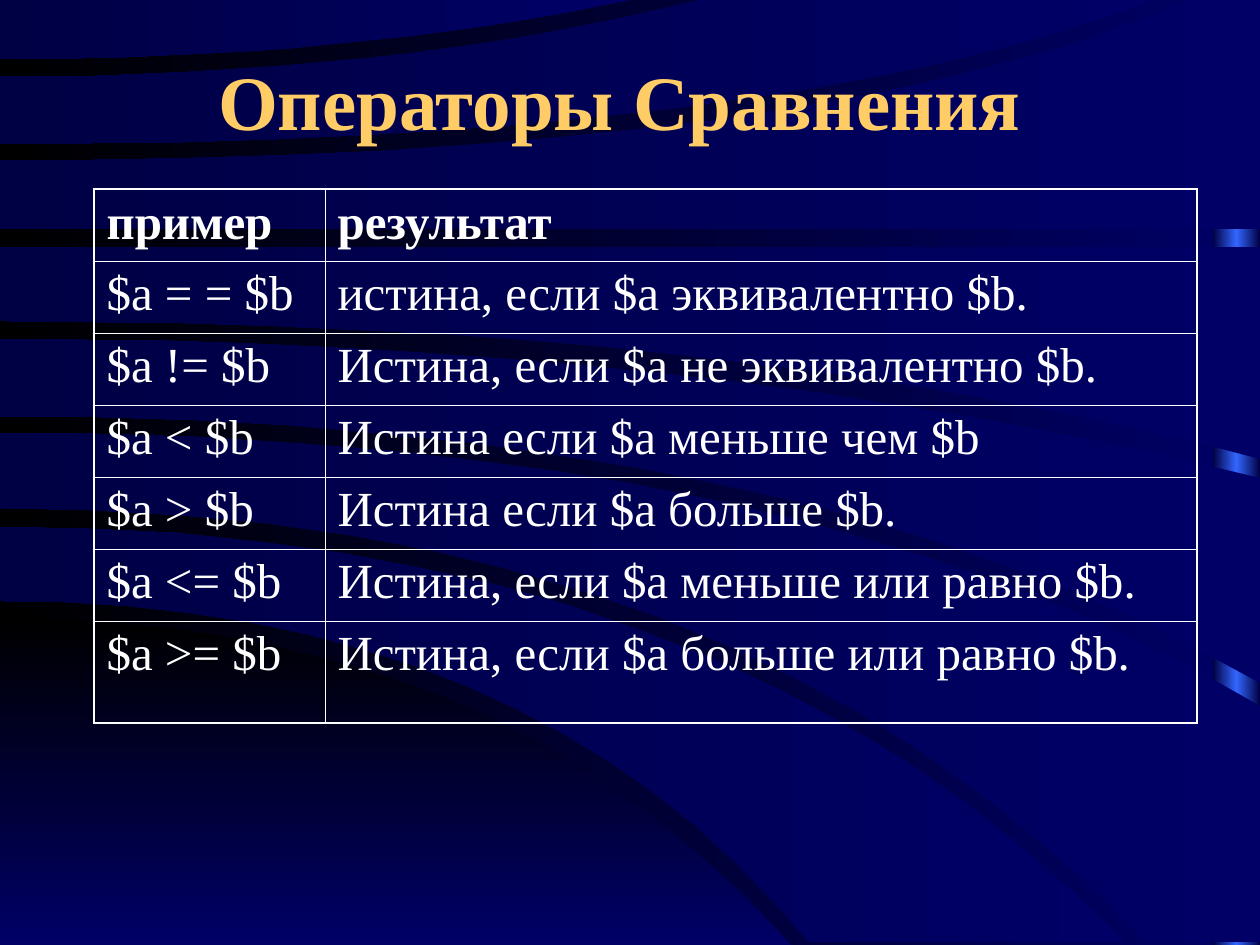
from copy import deepcopy

from lxml import etree
from pptx import Presentation
from pptx import util as u
from pptx.dml.color import RGBColor
from pptx.enum import shapes, text
from pptx.oxml.ns import qn

PX = 914400 / 126
FONT = "Times New Roman"
NAVY, DEEP, BLACK, GLOW = "000066", "000044", "000000", "3366FF"
WIDTH, HEIGHT = 1260, 945
CURVE_STEPS = 16


def px(length):
    return u.Emu(round(length * PX))


def set_gradient(fill, angle, start, end):
    """Two-colour linear gradient; angle runs counter-clockwise."""
    fill.gradient()
    fill.gradient_angle = angle
    for stop, colour in zip(fill.gradient_stops, (start, end)):
        stop.color.rgb = RGBColor.from_string(colour)


prs = Presentation()
prs.slide_width, prs.slide_height = px(WIDTH), px(HEIGHT)
slide = prs.slides.add_slide(prs.slide_layouts[5])
set_gradient(slide.background.fill, 180, NAVY, BLACK)

# Glowing strip at the right edge
strip = slide.shapes.add_shape(shapes.MSO_SHAPE.RECTANGLE, px(1213), 0, px(47), px(HEIGHT))
strip.shadow.inherit = False
strip.line.fill.background()
set_gradient(strip.fill, 180, DEEP, DEEP)
stop_list = strip._element.spPr.find(".//" + qn("a:gsLst"))
middle_stop = deepcopy(stop_list[0])
middle_stop.set("pos", "50000")
stop_list.insert(1, middle_stop)
strip.fill.gradient_stops[1].color.rgb = RGBColor.from_string(GLOW)

# Each sweep lies between two arcs that leave the left side horizontally.
# An arc is: start y, bend x, end x, end y. Some sweeps take in a slide corner.
sweeps = [
    ((619, 503, 791, HEIGHT), (HEIGHT, 400, 791, HEIGHT), []),
    ((527, 722, 1125, 942), (601, 530, 809, 942), []),
    ((433, 806, WIDTH, 706), (508, 742, 1145, 942), [(WIDTH, 942)]),
    ((339, 700, WIDTH, 478), (416, 800, WIDTH, 683), []),
    ((247, 630, WIDTH, 247), (321, 750, WIDTH, 459), []),
    ((161, 826, 1188, 0), (229, 630, WIDTH, 229), [(WIDTH, 0)]),
    ((77, 390, 701, 0), (144, 773, 1155, 0), []),
    ((0, 315, 631, 0), (59, 349, 631, 0), []),
]
for number, (upper, lower, corner) in enumerate(sweeps):
    upper_edge, lower_edge = [
        [(2 * t * (1 - t) * bend_x + t * t * end_x, start_y + t * t * (end_y - start_y))
         for t in (step / CURVE_STEPS for step in range(CURVE_STEPS + 1))]
        for start_y, bend_x, end_x, end_y in (upper, lower)]
    outline = upper_edge + corner + lower_edge[::-1]
    builder = slide.shapes.build_freeform(*outline[0], scale=PX)
    builder.add_line_segments(outline[1:], close=True)
    sweep = builder.convert_to_shape()
    sweep.shadow.inherit = False
    sweep.line.fill.background()
    if number == 0:
        set_gradient(sweep.fill, 270, BLACK, NAVY)
    else:
        set_gradient(sweep.fill, 180, NAVY, DEEP)

# Title, brought in front of the sweeps
title = slide.shapes.title
slide.shapes._spTree.append(title._element)
title.left, title.top, title.width, title.height = px(94), px(21), px(1071), px(158)
title.text_frame.text = "Операторы Сравнения "
title.text_frame.vertical_anchor = text.MSO_ANCHOR.MIDDLE
heading = title.text_frame.paragraphs[0]
heading.alignment = text.PP_ALIGN.CENTER
heading_font = heading.runs[0].font
heading_font.name, heading_font.size, heading_font.bold = FONT, u.Pt(44), True
heading_font.color.rgb = RGBColor.from_string("FFCC66")

# Table of comparison operators
operators = [
    ("пример", "результат"),
    ("$a = = $b", "истина, если $a эквивалентно $b."),
    ("$a != $b", "Истина, если $a не эквивалентно $b."),
    ("$a < $b", "Истина если $a меньше чем $b"),
    ("$a > $b", "Истина если $a больше $b."),
    ("$a <= $b", "Истина, если $a меньше или равно $b."),
    ("$a >= $b", "Истина, если $a больше или равно $b."),
]
column_widths = [231, 872]
row_heights = [72] * 6 + [102]
last_row, last_column = len(row_heights) - 1, len(column_widths) - 1
table = slide.shapes.add_table(
    len(row_heights), len(column_widths), px(94), px(189),
    px(sum(column_widths)), px(sum(row_heights))).table
table.first_row = table.horz_banding = False
for column, width in zip(table.columns, column_widths):
    column.width = px(width)
for r, (row, height) in enumerate(zip(table.rows, row_heights)):
    row.height = px(height)
    for c, cell in enumerate(row.cells):
        outer_sides = {"lnL": c == 0, "lnR": c == last_column,
                       "lnT": r == 0, "lnB": r == last_row}
        for side, is_outer in outer_sides.items():
            border = etree.SubElement(cell._tc.get_or_add_tcPr(), qn("a:" + side),
                                      w=str(u.Pt(1.08 if is_outer else 0.45)))
            border_fill = etree.SubElement(border, qn("a:solidFill"))
            etree.SubElement(border_fill, qn("a:srgbClr"), val="FFFFFF")
        cell.fill.background()
        cell.text_frame.text = operators[r][c]
        entry = cell.text_frame.paragraphs[0]
        entry.alignment = text.PP_ALIGN.JUSTIFY
        entry_font = entry.runs[0].font
        entry_font.name, entry_font.size, entry_font.bold = FONT, u.Pt(28), r == 0
        entry_font.color.rgb = RGBColor.from_string("FFFFFF")

prs.save("out.pptx")
